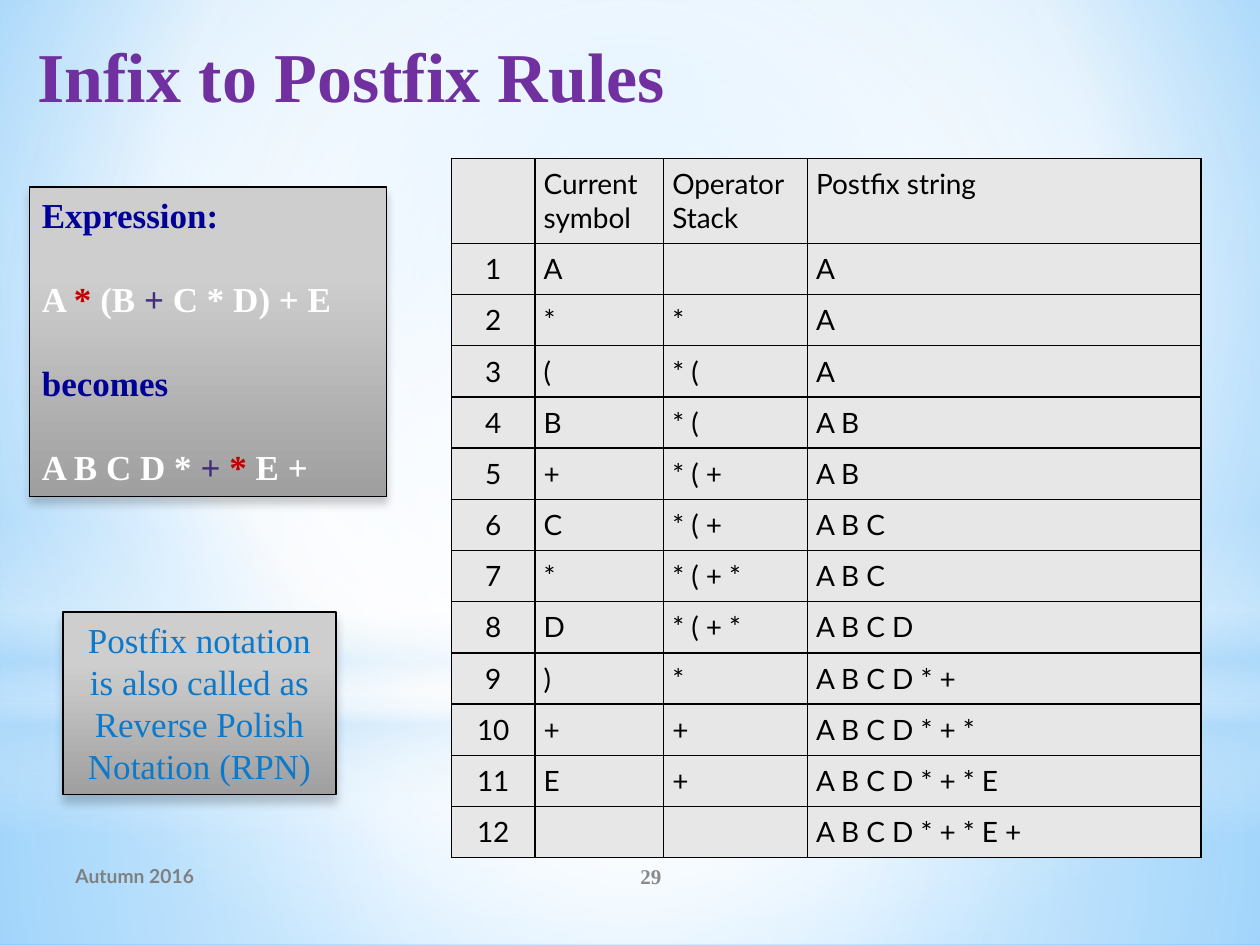
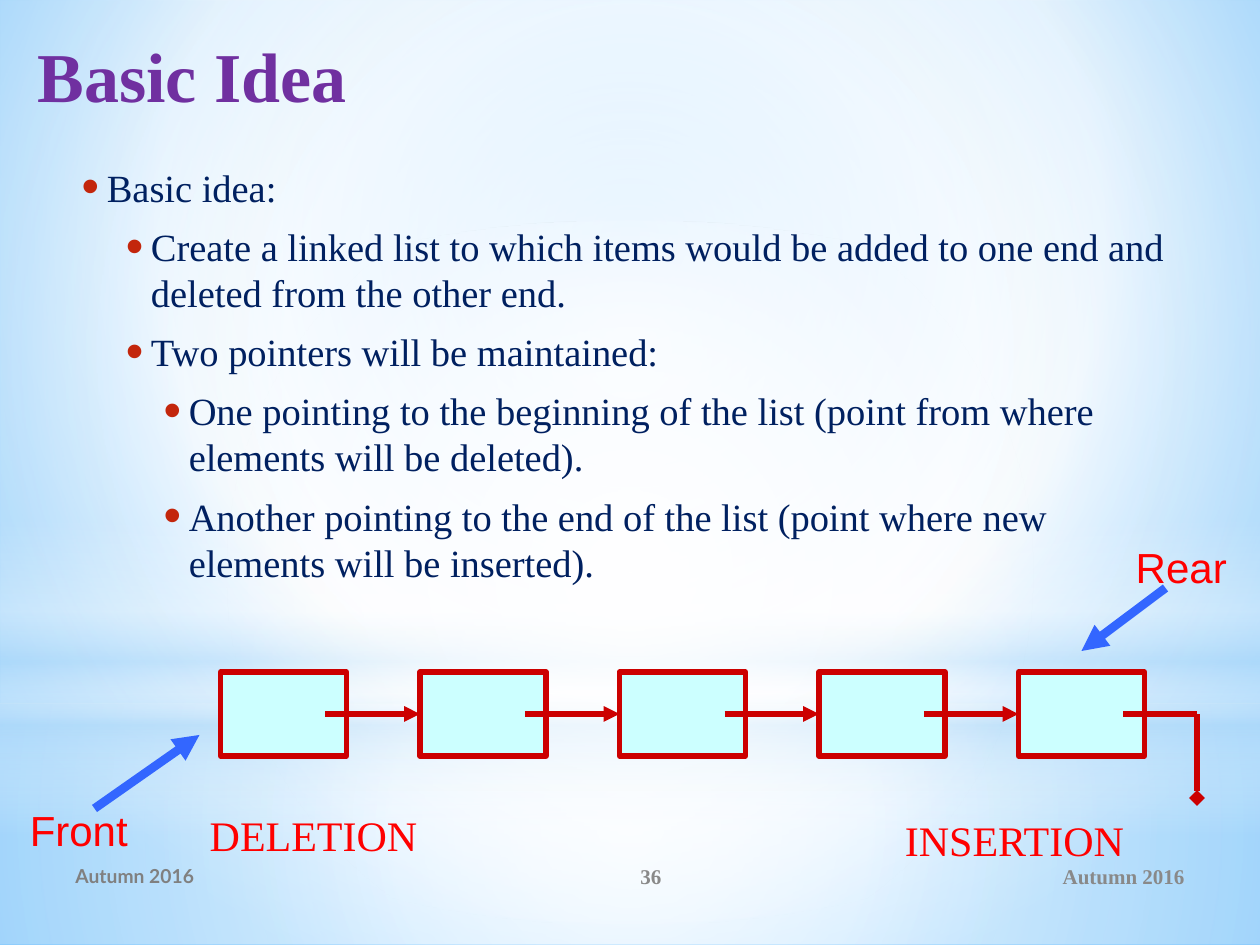
"""Build two lecture slides: postfix conversion rules and the linked-list queue idea."""
from dataclasses import dataclass
from typing import Optional

from lxml.etree import SubElement
from pptx import Presentation
from pptx.dml.color import RGBColor
from pptx.enum.shapes import MSO_CONNECTOR, MSO_SHAPE
from pptx.enum.text import MSO_ANCHOR, PP_ALIGN
from pptx.oxml import parse_xml
from pptx.oxml.ns import nsdecls, qn
from pptx.util import Emu, Inches, Pt

WHITE, BLACK = RGBColor(255, 255, 255), RGBColor(0, 0, 0)
SKY, SKY_EDGE = RGBColor(0x9E, 0xD5, 0xFF), RGBColor(0x5B, 0xB9, 0xFF)
MIST = RGBColor(0xB4, 0xDC, 0xFA)
PURPLE, VIOLET = RGBColor(0x70, 0x30, 0xA0), RGBColor(0x43, 0x2D, 0x7B)
NAVY, INK = RGBColor(0, 0, 0x99), RGBColor(0, 0x20, 0x60)
BLUE, ARROW_BLUE = RGBColor(0x0D, 0x79, 0xCA), RGBColor(0x33, 0x66, 0xFF)
RED, CRIMSON = RGBColor(255, 0, 0), RGBColor(0xC0, 0, 0)
NODE_LINE, NODE_FILL = RGBColor(0xCC, 0, 0), RGBColor(0xCC, 255, 255)
BULLET_RED = RGBColor(0xC3, 0x26, 0x0C)
SILVER, STEEL = RGBColor(0xCE, 0xCE, 0xCE), RGBColor(0x9F, 0x9F, 0x9F)
CELL_GREY = RGBColor(0xE7, 0xE7, 0xE7)
DATE_GREY, FOOT_GREY = RGBColor(0x80, 0x80, 0x80), RGBColor(0x89, 0x89, 0x89)
SERIF, SANS, LABEL_FONT = "Times New Roman", "Lato", "Arial"

SLIDE_W, SLIDE_H = Inches(10), Inches(7.5)
COLUMNS, ROWS = 120, 90


@dataclass(frozen=True)
class Area:
    """A rectangle in grid columns and rows."""
    col: float
    row: float
    cols: float
    rows: float

    def emu(self) -> tuple:
        """Return left, top, width and height as lengths."""
        return across(self.col), down(self.row), across(self.cols), down(self.rows)


@dataclass(frozen=True)
class Style:
    """The look of a piece of text."""
    size: float
    color: RGBColor
    font: str = SERIF
    bold: bool = False
    align: PP_ALIGN = PP_ALIGN.LEFT


@dataclass(frozen=True)
class Stop:
    """A gradient stop, with place and opacity in percent."""
    place: int
    color: RGBColor
    opacity: int = 100


@dataclass(frozen=True)
class Glow:
    """A translucent layer of the backdrop."""
    area: Area
    stops: tuple
    outline: MSO_SHAPE = MSO_SHAPE.RECTANGLE
    focus: Optional[tuple] = (50, 50, 50, 50)


TITLE = Style(40, PURPLE, bold=True)
DATE = Style(11, DATE_GREY, SANS, True)
PAGE = Style(12, FOOT_GREY, bold=True, align=PP_ALIGN.CENTER)
SIDE_DATE = Style(12, FOOT_GREY, bold=True, align=PP_ALIGN.RIGHT)
EXPRESSION = Style(20, NAVY, bold=True)
NOTE = Style(20, BLUE, align=PP_ALIGN.CENTER)
CELL = Style(16, BLACK, SANS)
ROW_NUMBER = Style(16, BLACK, SANS, align=PP_ALIGN.CENTER)
BODY = Style(22, INK)
POINTER = Style(24, RED, LABEL_FONT, align=PP_ALIGN.CENTER)
ACTION = Style(24, RED)

BACKDROP = (Stop(0, SKY), Stop(60, WHITE), Stop(100, SKY_EDGE))
GLOWS = (
    Glow(Area(0, 67, 120, 23), (Stop(0, WHITE, 91), Stop(37, WHITE, 76), Stop(100, MIST, 79))),
    Glow(Area(0, 0, 120, 67), (Stop(0, WHITE, 89), Stop(48, WHITE, 62), Stop(100, MIST, 79))),
    Glow(Area(0, 49.5, 120, 30),
         (Stop(0, WHITE, 0), Stop(29, WHITE, 30), Stop(45, MIST, 40),
          Stop(55, WHITE, 26), Stop(65, MIST, 60), Stop(100, WHITE, 0)), focus=None),
    Glow(Area(0, 21, 120, 67), (Stop(0, WHITE), Stop(56, WHITE, 0)), MSO_SHAPE.OVAL),
)
PANEL = (Stop(28, SILVER), Stop(100, STEEL))

CONVERSION = (
    ("", "Current symbol", "Operator Stack", "Postfix string"),
    ("1", "A", "", "A"),
    ("2", "*", "*", "A"),
    ("3", "(", "* (", "A"),
    ("4", "B", "* (", "A B"),
    ("5", "+", "* ( +", "A B"),
    ("6", "C", "* ( +", "A B C"),
    ("7", "*", "* ( + *", "A B C"),
    ("8", "D", "* ( + *", "A B C D"),
    ("9", ")", "*", "A B C D * +"),
    ("10", "+", "+", "A B C D * + *"),
    ("11", "E", "+", "A B C D * + * E"),
    ("12", "", "", "A B C D * + * E +"),
)
DERIVATION = (
    (("Expression:", NAVY),),
    (("A ", WHITE), ("* ", CRIMSON), ("(B ", WHITE), ("+ ", VIOLET), ("C * D) + E", WHITE)),
    (("becomes", NAVY),),
    (("A B C D * ", WHITE), ("+ ", VIOLET), ("* ", CRIMSON), ("E +", WHITE)),
)
IDEAS = (
    (0, "Basic idea:"),
    (1, "Create a linked list to which items would be added to one end and deleted from the other end."),
    (1, "Two pointers will be maintained:"),
    (2, "One pointing to the beginning of the list (point from where elements will be deleted)."),
    (2, "Another pointing to the end of the list (point where new elements will be inserted)."),
)
LEVEL_INDENTS = (0.25, 0.6, 0.9)


def across(cols: float) -> Emu:
    """Turn grid columns into a length."""
    return Emu(round(SLIDE_W * cols / COLUMNS))


def down(rows: float) -> Emu:
    """Turn grid rows into a length."""
    return Emu(round(SLIDE_H * rows / ROWS))


def gradient(stops: tuple, focus: Optional[tuple] = None):
    """Make a gradient fill, round about focus or else running downwards."""
    marks = "".join(
        f'<a:gs pos="{s.place * 1000}"><a:srgbClr val="{s.color}">'
        f'<a:alpha val="{s.opacity * 1000}"/></a:srgbClr></a:gs>' for s in stops)
    course = '<a:lin ang="5400000" scaled="0"/>'
    if focus:
        sides = " ".join(f'{side}="{share * 1000}"' for side, share in zip("ltrb", focus))
        course = f'<a:path path="circle"><a:fillToRect {sides}/></a:path>'
    return parse_xml(f'<a:gradFill {nsdecls("a")} rotWithShape="1">'
                     f'<a:gsLst>{marks}</a:gsLst>{course}</a:gradFill>')


def swap_fill(holder, fill) -> None:
    """Put a gradient in place of the solid fill directly inside holder."""
    holder.replace(holder.find(qn("a:solidFill")), fill)


def style_paragraph(paragraph, style: Style) -> None:
    """Apply a style to a paragraph and its runs."""
    paragraph.alignment = style.align
    for run in paragraph.runs:
        font = run.font
        font.size, font.name, font.bold = Pt(style.size), style.font, style.bold
        font.color.rgb = style.color


def add_text(shapes, area: Area, text: str, style: Style,
             anchor: MSO_ANCHOR = MSO_ANCHOR.TOP, wrap: bool = True):
    """Add one styled paragraph in a text box."""
    frame = shapes.add_textbox(*area.emu()).text_frame
    frame.word_wrap, frame.vertical_anchor, frame.text = wrap, anchor, text
    style_paragraph(frame.paragraphs[0], style)


def add_filled(shapes, area: Area, color: RGBColor, outline: MSO_SHAPE = MSO_SHAPE.RECTANGLE):
    """Add a flat preset shape without line or shadow."""
    shape = shapes.add_shape(outline, *area.emu())
    shape.shadow.inherit = False
    shape.fill.solid()
    shape.fill.fore_color.rgb = color
    shape.line.fill.background()
    return shape


def add_panel(shapes, area: Area):
    """Add a grey shaded panel and return its text frame."""
    panel = add_filled(shapes, area, SILVER)
    panel.line.color.rgb, panel.line.width = BLACK, Pt(0.75)
    properties = panel.element.spPr
    swap_fill(properties, gradient(PANEL))
    effects = properties.find(qn("a:effectLst"))
    shade = SubElement(effects, qn("a:outerShdw"), blurRad=str(Pt(5)), dist=str(Pt(4)),
                       dir="5400000", rotWithShape="0")
    tint = SubElement(shade, qn("a:srgbClr"), val=str(BLACK))
    SubElement(tint, qn("a:alpha"), val="20000")
    frame = panel.text_frame
    frame.word_wrap, frame.vertical_anchor = True, MSO_ANCHOR.TOP
    return frame


def add_line(shapes, start: tuple, end: tuple, color: RGBColor, width: float, head: str = "none"):
    """Add a straight line between grid points, with an optional head at its end."""
    line = shapes.add_connector(MSO_CONNECTOR.STRAIGHT, across(start[0]), down(start[1]),
                                across(end[0]), down(end[1]))
    line.line.color.rgb, line.line.width = color, Pt(width)
    properties = line.element.spPr
    SubElement(properties.find(qn("a:ln")), qn("a:tailEnd"), type=head)
    SubElement(properties, qn("a:effectLst"))
    return line


def start_slide(deck, title: str, page: int):
    """Add a slide with the shared backdrop, title and footer."""
    slide = deck.slides.add_slide(deck.slide_layouts[6])
    slide.background.fill.solid()
    swap_fill(slide.element.xpath(".//p:bgPr")[0], gradient(BACKDROP, (20, 10, 20, 60)))
    for glow in GLOWS:
        layer = add_filled(slide.shapes, glow.area, WHITE, glow.outline)
        swap_fill(layer.element.spPr, gradient(glow.stops, glow.focus))
    add_text(slide.shapes, Area(2.4, 2.5, 114.4, 15), title, TITLE)
    add_text(slide.shapes, Area(6, 81, 44, 4.8), "Autumn 2016", DATE, MSO_ANCHOR.MIDDLE)
    add_text(slide.shapes, Area(50, 81, 24, 4.8), str(page), PAGE, MSO_ANCHOR.MIDDLE)
    return slide


def fill_cell(cell, text: str, style: Style) -> None:
    """Write, shade and frame one table cell."""
    cell.margin_left = cell.margin_right = cell.margin_top = cell.margin_bottom = Inches(0.07)
    cell.fill.solid()
    cell.fill.fore_color.rgb = CELL_GREY
    paragraph = cell.text_frame.paragraphs[0]
    paragraph.text = text
    style_paragraph(paragraph, style)
    if not text:
        SubElement(paragraph._p, qn("a:endParaRPr"), sz=str(style.size * 100))
    for place, side in enumerate("LRTB"):
        cell._tc.tcPr.insert(place, parse_xml(
            f'<a:ln{side} {nsdecls("a")} w="{Pt(1)}"><a:solidFill>'
            f'<a:srgbClr val="{BLACK}"/></a:solidFill></a:ln{side}>'))


def add_conversion_table(shapes) -> None:
    """Add the step-by-step conversion table."""
    area = Area(43, 15.1, 71.4, 65.9)
    table = shapes.add_table(len(CONVERSION), len(CONVERSION[0]), *area.emu()).table
    table.first_row = table.horz_banding = False
    for column, cols in zip(table.columns, (7.95, 12.25, 13.7, 37.5)):
        column.width = across(cols)
    for index, (row, texts) in enumerate(zip(table.rows, CONVERSION)):
        row.height = down(4.82 if index else 8)
        for place, (cell, text) in enumerate(zip(row.cells, texts)):
            fill_cell(cell, text, CELL if place else ROW_NUMBER)


def build_rules(deck) -> None:
    """Build the infix to postfix slide."""
    shapes = start_slide(deck, "Infix to Postfix Rules", 29).shapes
    add_conversion_table(shapes)
    frame = add_panel(shapes, Area(2.8, 17.8, 34, 29.5))
    for index, parts in enumerate(DERIVATION):
        paragraph = frame.add_paragraph() if index else frame.paragraphs[0]
        for text, _ in parts:
            paragraph.add_run().text = text
        style_paragraph(paragraph, EXPRESSION)
        for run, (_, color) in zip(paragraph.runs, parts):
            run.font.color.rgb = color
        if index:
            paragraph.space_before = Pt(24)
    note = add_panel(shapes, Area(6, 58.3, 26, 17.4))
    note.text = "Postfix notation is also called as Reverse Polish Notation (RPN)"
    style_paragraph(note.paragraphs[0], NOTE)


def add_ideas(shapes) -> None:
    """Add the bulleted outline."""
    frame = shapes.add_textbox(*Area(6, 15, 108, 59.4).emu()).text_frame
    frame.word_wrap = True
    for index, (level, text) in enumerate(IDEAS):
        paragraph = frame.add_paragraph() if index else frame.paragraphs[0]
        paragraph.text, paragraph.level = text, level
        properties = paragraph._p.get_or_add_pPr()
        properties.set("marL", str(Inches(LEVEL_INDENTS[level])))
        properties.set("indent", str(Inches(-0.2)))
        SubElement(SubElement(properties, qn("a:buClr")), qn("a:srgbClr"), val=str(BULLET_RED))
        SubElement(properties, qn("a:buSzPct"), val="130000")
        SubElement(properties, qn("a:buFont"), typeface=LABEL_FONT)
        SubElement(properties, qn("a:buChar"), char="•")
        style_paragraph(paragraph, BODY)
        paragraph.space_after = Pt(3)
        if index:
            paragraph.space_before = Pt(4.4)


def add_linked_list(shapes) -> None:
    """Add five chained nodes and the closing link."""
    columns = [21 + 19 * index for index in range(5)]
    nodes = [add_filled(shapes, Area(col, 64, 12, 8), NODE_FILL) for col in columns]
    for node in nodes:
        node.line.color.rgb, node.line.width = NODE_LINE, Pt(3)
    for col, following in zip(columns, nodes[1:]):
        link = add_line(shapes, (col + 10, 68), (col + 19, 68), NODE_LINE, 3, "triangle")
        link.end_connect(following, 1)
    add_line(shapes, (107, 68), (114, 68), NODE_LINE, 3)
    add_line(shapes, (114, 68), (114, 76), NODE_LINE, 3, "diamond")


def build_idea(deck) -> None:
    """Build the linked-list slide."""
    shapes = start_slide(deck, "Basic Idea", 36).shapes
    add_text(shapes, Area(81, 81, 33, 4.8), "Autumn 2016", SIDE_DATE, MSO_ANCHOR.MIDDLE)
    add_ideas(shapes)
    add_linked_list(shapes.add_group_shape().shapes)
    for name, col, row, start, end in (("Front", 0, 76, (9, 77), (19, 70)),
                                       ("Rear", 105, 51, (111, 56), (103, 62))):
        add_text(shapes, Area(col, row, 15, 6), name, POINTER)
        add_line(shapes, start, end, ARROW_BLUE, 5, "triangle")
    add_text(shapes, Area(18.8, 76.5, 23.5, 6), "DELETION", ACTION, wrap=False)
    add_text(shapes, Area(85, 77, 24.8, 6), "INSERTION", ACTION, wrap=False)


def main() -> None:
    """Build and save the deck."""
    deck = Presentation()
    deck.slide_width, deck.slide_height = SLIDE_W, SLIDE_H
    build_rules(deck)
    build_idea(deck)
    deck.save("out.pptx")


if __name__ == "__main__":
    main()
